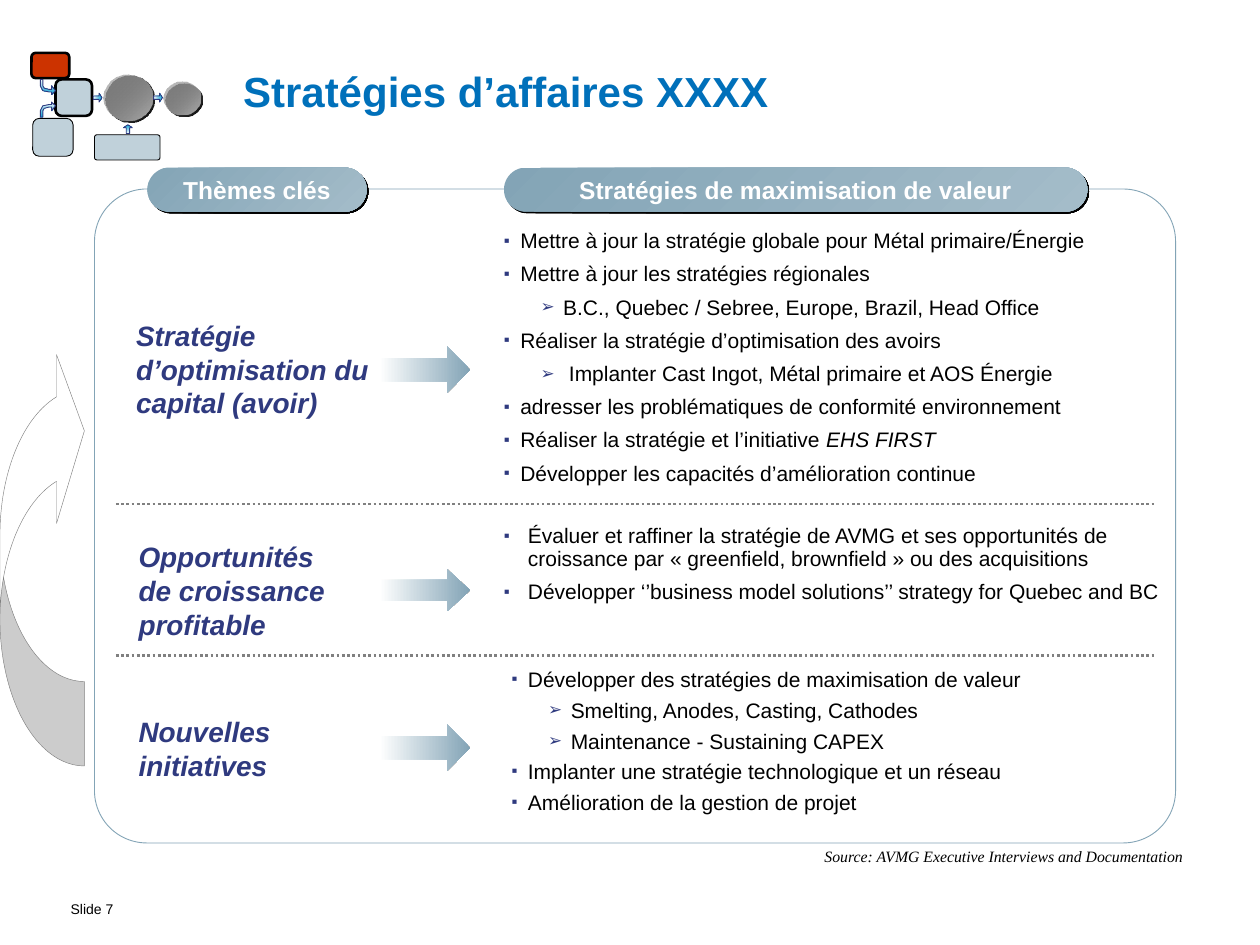
from dataclasses import dataclass
from lxml.etree import SubElement
from pptx import Presentation
from pptx.dml.color import RGBColor
from pptx.enum.dml import MSO_LINE
from pptx.enum.shapes import MSO_CONNECTOR, MSO_SHAPE
from pptx.enum.text import MSO_ANCHOR, PP_ALIGN
from pptx.oxml.ns import qn
from pptx.util import Inches, Pt


@dataclass(frozen=True)
class Theme:
    sans: str = "Arial"
    serif: str = "Times New Roman"
    title: str = "0070BA"
    accent: str = "2F3A7F"
    steel: str = "83A4B6"
    pale_steel: str = "A4BCC9"
    black: str = "000000"
    white: str = "FFFFFF"
    gray: str = "808080"
    pale_gray: str = "AEAEAE"
    red: str = "CC3300"
    ice: str = "F7FCFE"
    sky: str = "0CA2D6"
    title_size: int = 24
    label_size: int = 16
    header_size: int = 14
    body_size: int = 12
    source_size: int = 9
    footer_size: int = 8


class SlideBuilder:
    def __init__(self, page, theme):
        self.page = page
        self.theme = theme
        self.shapes = page.shapes

    def set_alpha(self, color_parent, percent):
        color = next(color_parent.iter(qn("a:srgbClr")))
        SubElement(color, qn("a:alpha"), val=str(percent * 1000))

    def paint(self, shape, fill=None, line=None, width=0.5, angle=0, alpha=None, shadow=False):
        shape.shadow.inherit = False
        if fill is None:
            shape.fill.background()
        elif isinstance(fill, tuple):
            shape.fill.gradient()
            shape.fill.gradient_angle = -angle % 360
            for stop, color in zip(shape.fill.gradient_stops, fill):
                stop.color.rgb = RGBColor.from_string(color)
        else:
            shape.fill.solid()
            shape.fill.fore_color.rgb = RGBColor.from_string(fill)
        properties = shape._element.spPr
        if alpha is not None:
            self.set_alpha(properties, alpha)
        if line:
            shape.line.color.rgb = RGBColor.from_string(line)
            shape.line.width = Pt(width)
        else:
            shape.line.fill.background()
        if shadow:
            effects = properties.find(qn("a:effectLst"))
            outer = SubElement(effects, qn("a:outerShdw"), dist=str(Pt(1.4)), dir="2700000")
            SubElement(outer, qn("a:srgbClr"), val=self.theme.black)

    def shape(self, kind, place, adjust=(), flip=None, turn=0, **look):
        shape = self.shapes.add_shape(kind, *map(Inches, place))
        for index, value in enumerate(adjust):
            shape.adjustments[index] = value
        if flip:
            shape._element.spPr.xfrm.set(flip, "1")
        shape.rotation = turn
        self.paint(shape, **look)
        return shape

    def outline(self, points, **look):
        corners = [(Inches(x), Inches(y)) for x, y in points]
        builder = self.shapes.build_freeform(*corners[0])
        builder.add_line_segments(corners[1:], close=True)
        self.paint(builder.convert_to_shape(), **look)

    def divider(self, left, right, y):
        line = self.shapes.add_connector(
            MSO_CONNECTOR.STRAIGHT, Inches(left), Inches(y), Inches(right), Inches(y))
        line.line.color.rgb = RGBColor.from_string(self.theme.gray)
        line.line.width = Pt(1.5)
        line.line.dash_style = MSO_LINE.ROUND_DOT
        SubElement(line._element.spPr, qn("a:effectLst"))

    def frame(self, box, margins=(0, 0, 0, 0), anchor=MSO_ANCHOR.TOP, wrap=True):
        frame = box.text_frame
        frame.margin_left, frame.margin_top, frame.margin_right, frame.margin_bottom = map(Inches, margins)
        frame.vertical_anchor = anchor
        frame.word_wrap = wrap
        return frame

    def span(self, para, text, size, color, bold=False, italic=False, font=None):
        span = para.add_run()
        span.text = text
        span.font.size = Pt(size)
        span.font.name = font or self.theme.sans
        span.font.bold = bold
        span.font.italic = italic
        span.font.color.rgb = RGBColor.from_string(color)

    def text(self, place, text, size, color, before=0, spacing=1.0, align=PP_ALIGN.LEFT,
             margins=(0, 0, 0, 0), anchor=MSO_ANCHOR.TOP, wrap=True, **style):
        box = self.shapes.add_textbox(*map(Inches, place))
        para = self.frame(box, margins, anchor, wrap).paragraphs[0]
        para.alignment = align
        para.space_before = Pt(before)
        para.line_spacing = spacing
        self.span(para, text, size, color, **style)

    def header(self, place, text):
        theme = self.theme
        pill = self.shape(MSO_SHAPE.ROUNDED_RECTANGLE, place, (0.5,),
                          fill=(theme.steel, theme.pale_steel), angle=45, shadow=True)
        para = self.frame(pill, (0.09, 0.04, 0.09, 0.04), MSO_ANCHOR.MIDDLE).paragraphs[0]
        para.alignment = PP_ALIGN.CENTER
        self.span(para, text, theme.header_size, theme.white, bold=True)

    def bullets(self, place, items, spacing=0.9, hang=0.13):
        frame = self.frame(self.shapes.add_textbox(*map(Inches, place)))
        for index, (level, *spans) in enumerate(items):
            para = frame.add_paragraph() if index else frame.paragraphs[0]
            para.level = level
            para.line_spacing = spacing
            para.space_before = para.space_after = Pt(3)
            margin, indent, mark = (0.47, 0.18, "➢") if level else (hang, hang, "▪")
            properties = para._p.get_or_add_pPr()
            properties.set("marL", str(Inches(margin)))
            properties.set("indent", str(-Inches(indent)))
            color = SubElement(properties, qn("a:buClr"))
            SubElement(color, qn("a:srgbClr"), val=self.theme.accent)
            SubElement(properties, qn("a:buSzPct"), val="80000")
            SubElement(properties, qn("a:buFont"), typeface=self.theme.sans)
            SubElement(properties, qn("a:buChar"), char=mark)
            for order, text in enumerate(spans):
                self.span(para, text, self.theme.body_size, self.theme.black, italic=order > 0)

    def process_icon(self):
        theme = self.theme
        self.shapes = self.page.shapes.add_group_shape().shapes
        rounded = MSO_SHAPE.ROUNDED_RECTANGLE
        self.shape(rounded, (0.25, 0.42, 0.3, 0.2), fill=theme.red, line=theme.black, width=1.5)
        for place, corner, width in (((0.75, 1.07, 0.52, 0.2), 0.1, 0.5),
                                     ((0.44, 0.63, 0.29, 0.29), 0.17, 1.5),
                                     ((0.26, 0.94, 0.32, 0.3), 0.17, 0.5)):
            self.shape(rounded, place, (corner,), fill=theme.steel, alpha=50, line=theme.black, width=width)
        for place in ((0.82, 0.59, 0.39, 0.37), (1.3, 0.65, 0.29, 0.26)):
            self.shape(MSO_SHAPE.OVAL, place, fill=(theme.gray, theme.pale_gray),
                       angle=45, alpha=50, shadow=True)
        blue = dict(fill=(theme.ice, theme.sky), angle=90, line=theme.accent)
        for left, top, turn in ((1.22, 0.74, 270), (0.74, 0.74, 270), (0.98, 0.99, 180)):
            self.shape(MSO_SHAPE.DOWN_ARROW, (left, top, 0.07, 0.07), (0.38, 0.34), turn=turn, **blue)
        bend = [(0.44, 0.84), (0.41, 0.81), (0.41, 0.83), (0.39, 0.83), (0.34, 0.84), (0.32, 0.88),
                (0.32, 0.93), (0.34, 0.93), (0.34, 0.88), (0.35, 0.86), (0.39, 0.85), (0.41, 0.85),
                (0.41, 0.88)]
        self.outline(bend, **blue)
        self.outline([(x, 1.56 - y) for x, y in bend], **blue)
        self.shapes = self.page.shapes


def main():
    deck = Presentation()
    deck.slide_width, deck.slide_height = Inches(10), Inches(7.5)
    theme = Theme()
    slide = SlideBuilder(deck.slides.add_slide(deck.slide_layouts[6]), theme)

    slide.text((0.56, 7.12, 0.89, 0.22), "Slide 7", theme.footer_size, theme.black, before=5,
               spacing=0.85, margins=(0, 0.05, 0.1, 0.05), wrap=False)
    slide.text((1.93, 0.52, 6.7, 0.61), "Stratégies d’affaires XXXX", theme.title_size, theme.title, bold=True)
    slide.text((6.44, 6.69, 3.05, 0.23), "Source: AVMG Executive Interviews and Documentation",
               theme.source_size, theme.black, spacing=0.85, align=PP_ALIGN.CENTER,
               margins=(0.1, 0.05, 0.1, 0.05), wrap=False, italic=True, font=theme.serif)

    slide.shape(MSO_SHAPE.ROUNDED_RECTANGLE, (0.75, 1.5, 8.58, 5.19), (0.08,), line=theme.steel)
    slide.header((1.17, 1.33, 1.74, 0.35), "Thèmes clés")
    slide.header((4, 1.33, 4.63, 0.35), "Stratégies de maximisation de valeur")
    for y in (4, 5.2):
        slide.divider(0.92, 9.16, y)

    for place, label, top, height, head in (
            ((1.08, 2.64, 1.92, 0.58), "Stratégie d’optimisation du capital (avoir)", 2.75, 0.37, 0.49),
            ((1.1, 4.31, 1.57, 0.75), "Opportunités de croissance profitable", 4.52, 0.33, 0.54),
            ((1.1, 5.48, 1.57, 0.92), "Nouvelles initiatives", 5.75, 0.37, 0.49)):
        slide.text(place, label, theme.label_size, theme.accent, before=10,
                   anchor=MSO_ANCHOR.MIDDLE, bold=True, italic=True)
        slide.shape(MSO_SHAPE.RIGHT_ARROW, (3.01, top, 0.72, height), (0.5, head),
                    fill=(theme.white, theme.steel))

    slide.bullets((4, 1.83, 5.33, 2.02), [
        (0, "Mettre à jour la stratégie globale pour Métal primaire/Énergie"),
        (0, "Mettre à jour les stratégies régionales"),
        (1, "B.C., Quebec / Sebree, Europe, Brazil, Head Office"),
        (0, "Réaliser la stratégie d’optimisation des avoirs"),
        (1, " Implanter Cast Ingot, Métal primaire et AOS Énergie"),
        (0, "adresser les problématiques de conformité environnement"),
        (0, "Réaliser la stratégie et l’initiative ", "EHS FIRST"),
        (0, "Développer les capacités d’amélioration continue")])
    slide.bullets((4, 4.17, 5.33, 0.62), [
        (0, "Évaluer et raffiner la stratégie de AVMG et ses opportunités de croissance "
            "par « greenfield, brownfield » ou des acquisitions"),
        (0, "Développer ‘’business model solutions’’ strategy for Quebec and BC")], hang=0.19)
    slide.bullets((4.06, 5.33, 4.78, 1.18), [
        (0, "Développer des stratégies de maximisation de valeur"),
        (1, "Smelting, Anodes, Casting, Cathodes"),
        (1, "Maintenance - Sustaining CAPEX"),
        (0, "Implanter une stratégie technologique et un réseau"),
        (0, "Amélioration de la gestion de projet")], spacing=0.8)

    slide.process_icon()
    slide.shape(MSO_SHAPE.CURVED_RIGHT_ARROW, (0, 2.75, 0.67, 3.33), (1, 2, 0.33), flip="flipV",
                fill=theme.white, line=theme.gray, width=0.25)
    deck.save("out.pptx")


if __name__ == "__main__":
    main()
